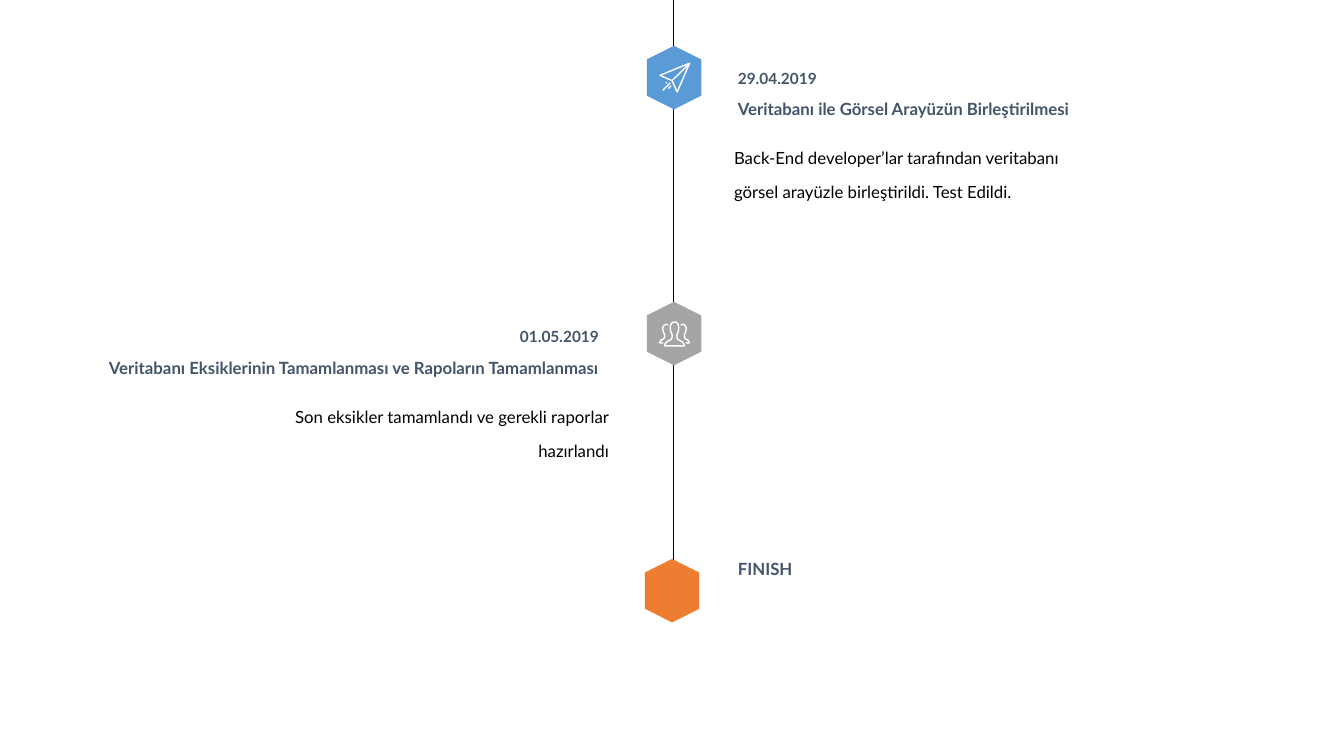
import pptx
import pptx.util
import pptx.dml.color
import pptx.enum.shapes
import pptx.enum.text
import lxml.etree

Inches, Pt = pptx.util.Inches, pptx.util.Pt
KIND = pptx.enum.shapes.MSO_SHAPE
ALIGN = pptx.enum.text.PP_ALIGN
ANCHOR = pptx.enum.text.MSO_ANCHOR

# Content: kind, side, top, width, text
TEXTS = [
    ("date", "right", 0.63, 1, "29.04.2019"),
    ("title", "right", 0.93, 3.71, "Veritabanı ile Görsel Arayüzün Birleştirilmesi"),
    ("body", "right", 1.27, 3.88,
     "Back-End developer’lar tarafından veritabanı görsel arayüzle "
     "birleştirildi. Test Edildi."),
    ("date", "left", 3.19, 1, "01.05.2019"),
    ("title", "left", 3.5, 5.43,
     "Veritabanı Eksiklerinin Tamamlanması ve Rapoların Tamamlanması"),
    ("body", "left", 3.84, 3.88,
     "Son eksikler tamamlandı ve gerekli raporlar hazırlandı"),
    ("title", "right", 5.49, 0.75, "FINISH"),
]
HEXES = [(6.37, 0.5, "5B9BD5"), (6.37, 3.04, "A5A5A5"), (6.35, 5.59, "ED7D31")]

# Formats: height, left and right edge, spacing, wrap, insets, font
HEAD = {"edge": (6.04, 7.22), "space": 1, "wrap": False,
        "pad": (0.1, 0.05), "anchor": ANCHOR.MIDDLE, "color": "44546A"}
STYLES = {
    "date": {**HEAD, "high": 0.29, "font": {"size": Pt(11), "bold": True}},
    "title": {**HEAD, "high": 0.3, "font": {"size": Pt(12), "bold": True}},
    "body": {"edge": (6.16, 7.16), "high": 0.65, "space": 1.68, "wrap": True,
             "pad": (0.12, 0.06), "anchor": ANCHOR.TOP, "color": "000000",
             "font": {"size": Pt(12), "bold": False}},
}

# Icon strokes in thousandths of an inch from the icon centre: points, closed
PLANE = [
    ([(-145, -22), (150, -143), (27, 143), (-24, 31)], True),
    ([(-24, 31), (150, -143)], False),
    ([(-85, 56), (-75, 46)], False),
    ([(-115, 125), (-42, 52)], False),
    ([(-60, 108), (-35, 82)], False),
]
HALF = [(0, -115), (20, -112), (36, -92), (42, -65), (38, -20), (25, 5),
        (22, 30), (32, 58), (55, 70), (80, 85), (95, 105), (98, 122)]
SIDE = [(62, -85), (82, -93), (103, -82), (118, -58), (112, -25), (108, -8),
        (98, 5), (98, 35), (110, 54), (135, 65), (148, 92), (112, 92)]


def flip(pts):
    return [(-x, y) for x, y in pts]


PEOPLE = [(HALF + flip(HALF[:0:-1]), True), (SIDE, False), (flip(SIDE), False)]
ICONS = [(6.69, 0.77, PLANE), (6.69, 3.31, PEOPLE)]


def paint(part, code):
    part.solid()
    part.fore_color.rgb = pptx.dml.color.RGBColor.from_string(code)


def assign(obj, **values):
    for name, value in values.items():
        setattr(obj, name, value)


def add_text(slide, kind, side, top, width, words):
    style = STYLES[kind]
    near, far = style["edge"]
    left = far if side == "right" else near - width
    box = slide.shapes.add_textbox(
        *map(Inches, (left, top, width, style["high"])))
    flat, tall = map(Inches, style["pad"])
    assign(box.text_frame, word_wrap=style["wrap"],
           vertical_anchor=style["anchor"], margin_left=flat,
           margin_right=flat, margin_top=tall, margin_bottom=tall)
    para = box.text_frame.paragraphs[0]
    assign(para, line_spacing=style["space"],
           alignment=ALIGN.LEFT if side == "right" else ALIGN.RIGHT)
    run = para.add_run()
    run.text = words
    assign(run.font, name="Lato", **style["font"])
    paint(run.font.fill, style["color"])


def add_hex(slide, left, top, code):
    shape = slide.shapes.add_shape(
        KIND.HEXAGON, *map(Inches, (left, top, 0.63, 0.54)))
    assign(shape, rotation=90)
    shape.shadow.inherit = False
    paint(shape.fill, code)
    shape.line.fill.background()


def add_icon(slide, mid_x, mid_y, strokes):
    pen = slide.shapes.build_freeform(*strokes[0][0][0], scale=Inches(1) / 1000)
    for turn, (pts, closed) in enumerate(strokes):
        if turn:
            pen.move_to(*pts[0])
        pen.add_line_segments(pts[1:], close=closed)
    shape = pen.convert_to_shape(Inches(mid_x), Inches(mid_y))
    shape.shadow.inherit = False
    shape.fill.background()
    paint(shape.line.fill, "FFFFFF")
    shape.line.width = Pt(1)


def add_spine(slide):
    spine = slide.shapes.add_connector(
        pptx.enum.shapes.MSO_CONNECTOR.STRAIGHT,
        *map(Inches, (6.68, 0, 6.68, 5.64)))
    paint(spine.line.fill, "000000")
    spine.line.width = Pt(0.75)
    lxml.etree.SubElement(spine._element.spPr,
                          pptx.oxml.ns.qn("a:effectLst"))


def main():
    deck = pptx.Presentation()
    assign(deck, slide_width=Inches(13.33), slide_height=Inches(7.5))
    slide = deck.slides.add_slide(deck.slide_layouts[6])
    # Timeline, then its markers, icons and texts
    add_spine(slide)
    for add, rows in ((add_hex, HEXES), (add_icon, ICONS), (add_text, TEXTS)):
        for row in rows:
            add(slide, *row)
    deck.save("out.pptx")


if __name__ == "__main__":
    main()
